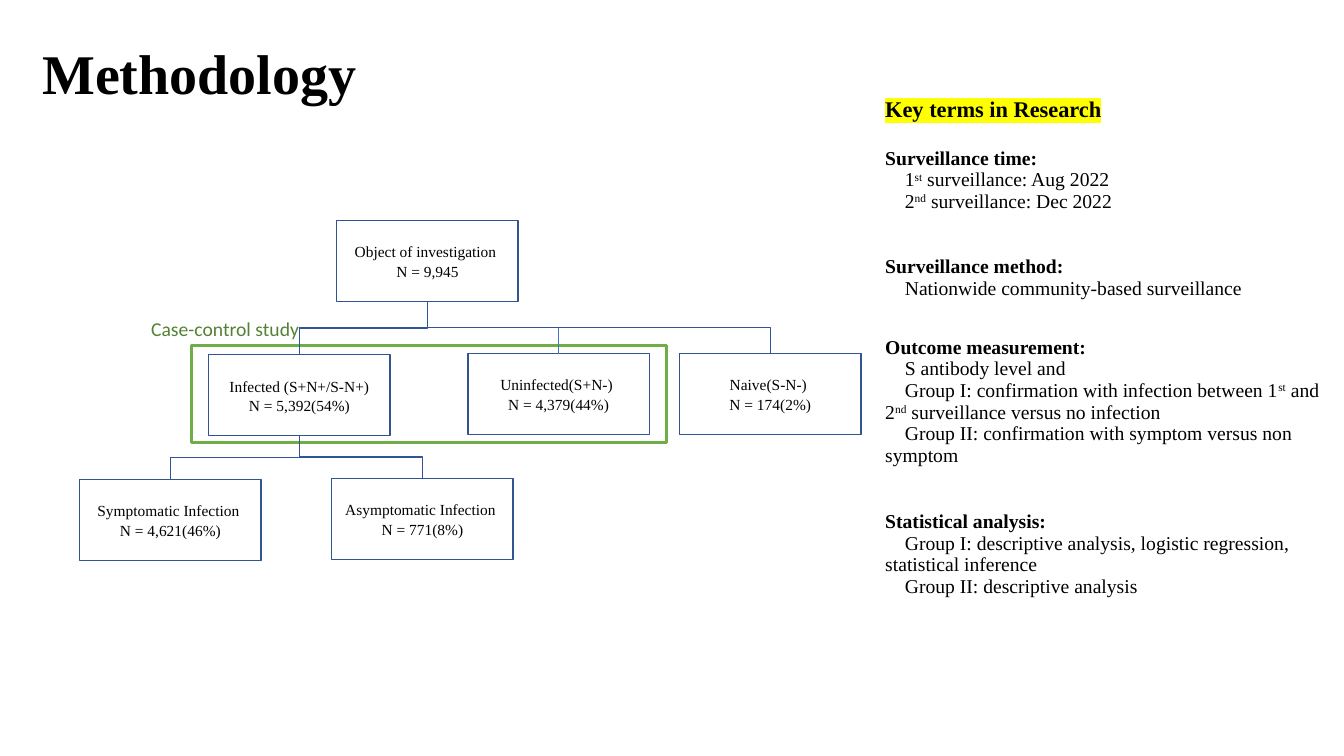
"""Build the Methodology slide: a study flow chart beside a table of key research terms."""
from lxml.etree import SubElement
from pptx import Presentation
from pptx.dml.color import RGBColor
from pptx.enum.shapes import MSO_CONNECTOR, MSO_SHAPE
from pptx.enum.text import MSO_ANCHOR, PP_ALIGN
from pptx.oxml import parse_xml
from pptx.oxml.ns import nsdecls, qn
from pptx.util import Inches, Pt

SERIF = "Times New Roman"
BOX_W, BOX_H = 1.8, 0.8


def color(target, value):
    target.rgb = RGBColor.from_string(value)


def write(p, text, value="000000", **fmt):
    for i, part in enumerate(text.split("^")):
        r = p.add_run()
        r.text = part
        for key, val in fmt.items():
            setattr(r.font, key, val)
        color(r.font.color, value)
        if i % 2:
            r.font._element.set("baseline", "30000")
    return r


prs = Presentation()
prs.slide_width, prs.slide_height = Inches(13.33), Inches(7.5)
s = prs.slides.add_slide(prs.slide_layouts[5])

title = s.shapes.title
title.left, title.top, title.width, title.height = map(Inches, (0.32, 0.03, 11.5, 1.45))
tf = title.text_frame
tf.vertical_anchor = MSO_ANCHOR.MIDDLE
p = tf.paragraphs[0]
p.alignment = PP_ALIGN.LEFT
p.line_spacing = 0.9
write(p, "Methodology", name=SERIF, size=Pt(40), bold=True)

boxes = {
    "object": (3.34, 2.19, "Object of investigation ", "N = 9,945"),
    "infected": (2.07, 3.52, "Infected (S+N+/S-N+)", "N = 5,392(54%)"),
    "uninfected": (4.64, 3.51, "Uninfected(S+N-) ", "N = 4,379(44%)"),
    "symptomatic": (0.79, 4.76, "Symptomatic Infection ", "N = 4,621(46%)"),
    "asymptomatic": (3.29, 4.75, "Asymptomatic Infection ", "N = 771(8%)"),
    "naive": (6.74, 3.51, "Naive(S-N-) ", "N = 174(2%)"),
}
for x, y, *lines in boxes.values():
    sp = s.shapes.add_shape(MSO_SHAPE.RECTANGLE, *map(Inches, (x, y, BOX_W, BOX_H)))
    sp.shadow.inherit = False
    sp.fill.background()
    color(sp.line.color, "325491")
    sp.line.width = Pt(1)
    tf = sp.text_frame
    tf.vertical_anchor = MSO_ANCHOR.MIDDLE
    for i, line in enumerate(lines):
        p = tf.add_paragraph() if i else tf.paragraphs[0]
        p.alignment = PP_ALIGN.CENTER
        p.line_spacing = 1.07
        write(p, line, name=SERIF, size=Pt(11))

frame = s.shapes.add_shape(MSO_SHAPE.RECTANGLE, *map(Inches, (1.9, 3.43, 4.71, 0.96)))
frame.shadow.inherit = False
frame.fill.background()
color(frame.line.color, "70AD47")
frame.line.width = Pt(2)

label = s.shapes.add_textbox(*map(Inches, (1.4, 3.09, 1.69, 0.34)))
label.text_frame.word_wrap = False
write(label.text_frame.paragraphs[0], "Case-control study", "548235", name="Calibri", size=Pt(14))

links = [
    ("object", "infected", "2F5597"),
    ("object", "uninfected", "4472C4"),
    ("object", "naive", "2F5597"),
    ("infected", "symptomatic", "2F5597"),
    ("infected", "asymptomatic", "2F5597"),
]
for parent, child, line_color in links:
    x1, y1 = boxes[parent][0] + BOX_W / 2, boxes[parent][1] + BOX_H
    x2, y2 = boxes[child][0] + BOX_W / 2, boxes[child][1]
    mid_x, mid_y = (x1 + x2) / 2, (y1 + y2) / 2
    half_w, half_h = (x2 - x1) / 2, (y2 - y1) / 2
    ends = (mid_x - half_h, mid_y + half_w, mid_x + half_h, mid_y - half_w)
    cxn = s.shapes.add_connector(MSO_CONNECTOR.ELBOW, *map(Inches, ends))
    color(cxn.line.color, line_color)
    cxn.line.width = Pt(1)
    spPr = cxn._element.spPr
    spPr.find(qn("a:xfrm")).set("rot", "5400000")
    SubElement(spPr, qn("a:effectLst"))

terms = [
    (1.57, "Surveillance time:", ["1^st^ surveillance: Aug 2022", "2^nd^ surveillance: Dec 2022"]),
    (0.8, "Surveillance method:", ["Nationwide community-based surveillance"]),
    (1.73, "Outcome measurement:", [
        "S antibody level and",
        "Group I: confirmation with infection between 1^st^ and 2^nd^ surveillance versus no infection",
        "Group II: confirmation with symptom versus non symptom",
    ]),
    (1.27, "Statistical analysis:", [
        "Group I: descriptive analysis, logistic regression, statistical inference",
        "Group II: descriptive analysis",
    ]),
]
table = s.shapes.add_table(len(terms), 1, *map(Inches, (8.68, 0.92, 4.55, 5.37))).table
table.first_row = table.horz_banding = False
for i, (height, heading, items) in enumerate(terms):
    table.rows[i].height = Inches(height)
    cell = table.cell(i, 0)
    cell.fill.background()
    tf = cell.text_frame
    p = tf.paragraphs[0]
    if i == 0:
        r = write(p, "Key terms in Research", name=SERIF, size=Pt(16), bold=True)
        mark = parse_xml(f'<a:highlight {nsdecls("a")}><a:srgbClr val="FFFF00"/></a:highlight>')
        r.font._element.find(qn("a:solidFill")).addnext(mark)
        p = tf.add_paragraph()
        p.space_before = Pt(18)
    write(p, heading, name=SERIF, size=Pt(14), bold=True)
    for item in items:
        p = tf.add_paragraph()
        pPr = p._p.get_or_add_pPr()
        pPr.set("marL", "0")
        pPr.set("indent", str(Pt(14)))
        write(p, item, name=SERIF, size=Pt(14), bold=False)

prs.save("out.pptx")
